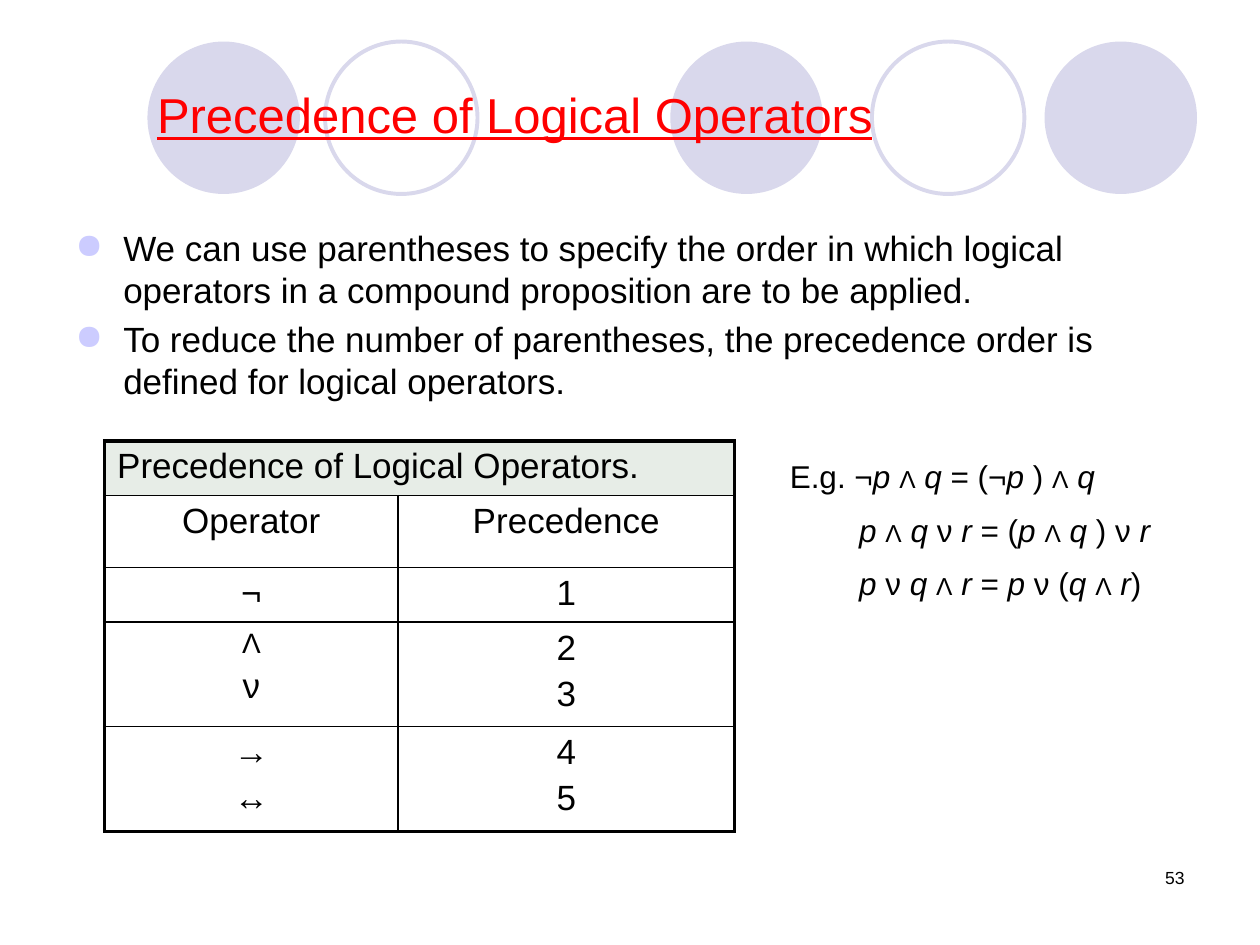
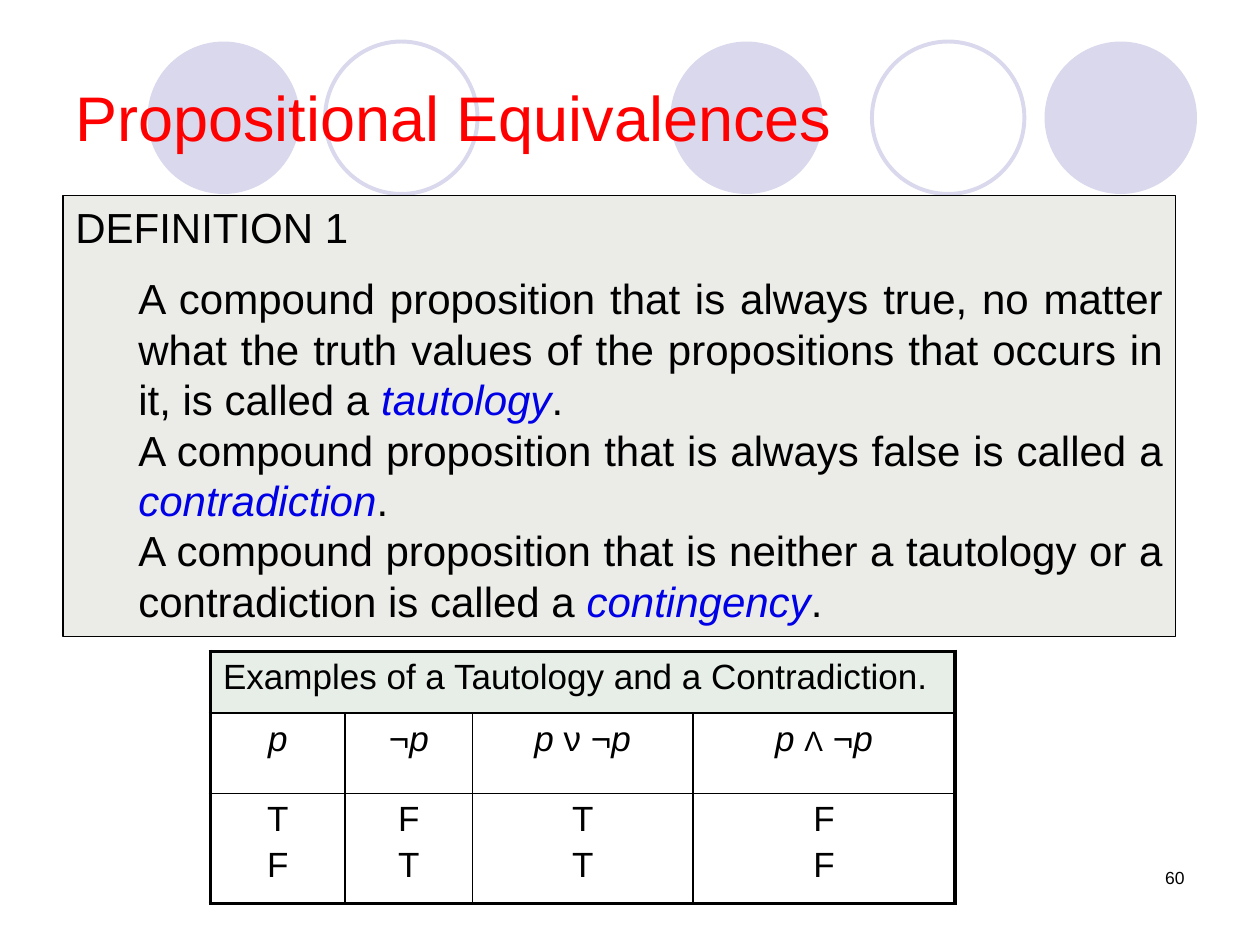
from dataclasses import dataclass

from pptx import Presentation
from pptx.dml.color import RGBColor
from pptx.enum.shapes import MSO_SHAPE as Preset
from pptx.enum.text import MSO_ANCHOR as Anchor, PP_ALIGN as Align
from pptx.oxml.xmlchemy import OxmlElement as make_element
from pptx.util import Inches, Pt


@dataclass(frozen=True)
class Theme:
    font: str = "Arial"
    black: str = "000000"
    heading: str = "FF0000"
    term: str = "0000E6"
    circle: str = "D9D8EC"
    bullet: str = "CCCCFF"
    panel: str = "EBECE8"
    caption: str = "E7EDE7"
    title_size: int = 36
    subtitle_size: int = 28
    definition_size: int = 24
    body_size: int = 20
    example_size: int = 18
    number_size: int = 10
    wedge_drop: int = 4
    thick: float = 2.25
    thin: float = 1
    hairline: float = 0.75


def rgb(value):
    return RGBColor.from_string(value)


def apply(target, **values):
    for name, value in values.items():
        setattr(target, name, value)


def add_color(parent, tag, value):
    holder = make_element(tag)
    color = make_element("a:srgbClr")
    color.set("val", value)
    holder.append(color)
    parent.append(holder)


class Deck:
    CIRCLES = [(1.17, True), (2.58, False), (5.32, True), (6.92, False), (8.29, True)]

    def __init__(self, theme):
        self.theme = theme
        self.presentation = Presentation()
        apply(self.presentation, slide_width=Inches(10), slide_height=Inches(7.5))
        self.slide = None

    def add_slide(self, number):
        theme = self.theme
        self.slide = self.presentation.slides.add_slide(self.presentation.slide_layouts[6])
        for left, solid in self.CIRCLES:
            self.add_shape(Preset.OVAL, (left, 0.33, 1.21, 1.21),
                           fill=theme.circle if solid else None,
                           line=None if solid else theme.circle, width=theme.thick)
        self.add_text((7.17, 6.83, 2.33, 0.5), [number], theme.number_size, align=Align.RIGHT)

    def add_shape(self, preset, box, fill=None, line=None, width=1):
        shape = self.slide.shapes.add_shape(preset, *map(Inches, box))
        shape.shadow.inherit = False
        if fill:
            shape.fill.solid()
            shape.fill.fore_color.rgb = rgb(fill)
        else:
            shape.fill.background()
        if line:
            shape.line.color.rgb = rgb(line)
            shape.line.width = Pt(width)
        else:
            shape.line.fill.background()
        return shape

    def add_runs(self, paragraph, text, size, color=None, accent=None, underline=None):
        color = color or self.theme.black
        for index, part in enumerate(text.split("*")):
            italic = index % 2 == 1
            pieces = part.replace("Λ", "|Λ|").split("|")
            for piece in filter(None, pieces):
                run = paragraph.add_run()
                run.text = piece
                drop = self.theme.wedge_drop if piece == "Λ" else 0
                apply(run.font, name=self.theme.font, size=Pt(size - drop),
                      italic=italic, underline=underline)
                run.font.color.rgb = rgb(accent if italic and accent else color)

    def fill_frame(self, frame, texts, size, align=Align.LEFT, gap=0, **run_format):
        for index, text in enumerate(texts):
            paragraph = frame.add_paragraph() if index else frame.paragraphs[0]
            apply(paragraph, alignment=align, space_before=Pt(gap if index else 0))
            self.add_runs(paragraph, text, size, **run_format)
        return frame.paragraphs

    def indent(self, paragraph, left, hanging=0):
        properties = paragraph._p.get_or_add_pPr()
        properties.set("marL", str(Inches(left)))
        properties.set("indent", str(-Inches(hanging)))
        return properties

    def add_text(self, box, texts, size, anchor=Anchor.TOP, **text_format):
        frame = self.slide.shapes.add_textbox(*map(Inches, box)).text_frame
        apply(frame, word_wrap=True, vertical_anchor=anchor)
        return self.fill_frame(frame, texts, size, **text_format)

    def add_bullets(self, box, texts):
        for paragraph in self.add_text(box, texts, self.theme.body_size, gap=4):
            properties = self.indent(paragraph, 0.38, hanging=0.38)
            add_color(properties, "a:buClr", self.theme.bullet)
            character = make_element("a:buChar")
            character.set("char", "●")
            properties.append(character)

    def add_definition(self, box, heading, statements):
        theme = self.theme
        panel = self.add_shape(Preset.RECTANGLE, box, theme.panel, theme.black, theme.hairline)
        frame = panel.text_frame
        apply(frame, word_wrap=True, vertical_anchor=Anchor.TOP)
        _, *paragraphs = self.fill_frame(frame, [heading, *statements], theme.definition_size,
                                         align=Align.JUSTIFY, accent=theme.term)
        paragraphs[0].space_before = Pt(12)
        for paragraph in paragraphs:
            self.indent(paragraph, 0.5)

    def set_borders(self, cell, outer_edges):
        properties = cell._tc.get_or_add_tcPr()
        for side, outer in zip("LRTB", outer_edges):
            line = make_element(f"a:ln{side}")
            line.set("w", str(Pt(self.theme.thick if outer else self.theme.thin)))
            add_color(line, "a:solidFill", self.theme.black)
            properties.append(line)

    def add_table(self, left, top, widths, heights, caption, rows):
        theme = self.theme
        row_count, column_count = len(heights), len(widths)
        box = (left, top, sum(widths), sum(heights))
        table = self.slide.shapes.add_table(row_count, column_count, *map(Inches, box)).table
        apply(table, first_row=False, horz_banding=False)
        for column, width in zip(table.columns, widths):
            column.width = Inches(width)
        for row, height in zip(table.rows, heights):
            row.height = Inches(height)
        table.cell(0, 0).merge(table.cell(0, column_count - 1))
        for r in range(row_count):
            for c in range(column_count):
                cell = table.cell(r, c)
                self.set_borders(cell, (c == 0 or r == 0, r == 0 or c == column_count - 1,
                                        r == 0, r == row_count - 1))
                if r == 0:
                    cell.fill.solid()
                    cell.fill.fore_color.rgb = rgb(theme.caption)
                else:
                    cell.fill.background()
                    self.fill_frame(cell.text_frame, rows[r - 1][c].split("\n"),
                                    theme.body_size, align=Align.CENTER, gap=4)
        self.fill_frame(table.cell(0, 0).text_frame, [caption], theme.body_size)


def build_precedence(deck):
    theme = deck.theme
    deck.add_slide("53")
    deck.add_bullets((0.5, 1.75, 8.92, 1.6), [
        "We can use parentheses to specify the order in which logical operators "
        "in a compound proposition are to be applied.",
        "To reduce the number of parentheses, the precedence order is defined "
        "for logical operators.",
    ])
    deck.add_table(0.83, 3.5, [2.33, 2.67], [0.43, 0.57, 0.43, 0.83, 0.83],
                   "Precedence of Logical Operators.",
                   [("Operator", "Precedence"), ("¬", "1"), ("Λ\nν", "2\n3"), ("→\n↔", "4\n5")])
    deck.add_text((0.5, 0.62, 7.17, 0.57), ["Precedence of Logical Operators"],
                  theme.subtitle_size, align=Align.CENTER, color=theme.heading, underline=True)
    _, *continued = deck.add_text((6.17, 3.58, 3.67, 1.3), [
        "E.g. ¬*p *Λ *q* = (¬*p* ) Λ *q*",
        "*p *Λ *q *ν *r *= (*p *Λ *q* ) ν *r*",
        "*p *ν *q *Λ *r* = *p *ν (*q *Λ *r*)",
    ], theme.example_size, gap=9)
    for paragraph in continued:
        deck.indent(paragraph, 0.55)


def build_equivalences(deck):
    theme = deck.theme
    deck.add_slide("60")
    deck.add_text((0.5, 0.3, 9, 1.25), ["Propositional Equivalences"], theme.title_size,
                  anchor=Anchor.MIDDLE, color=theme.heading)
    deck.add_table(1.67, 5.17, [1.07, 1.01, 1.75, 2.08], [0.49, 0.64, 0.87],
                   "Examples of a Tautology and a Contradiction.",
                   [("*p*", "¬*p*", "*p *ν ¬*p*", "*p *Λ ¬*p*"),
                    ("T\nF", "F\nT", "T\nT", "F\nF")])
    deck.add_definition((0.5, 1.55, 8.83, 3.5), "DEFINITION 1", [
        "A compound proposition that is always true, no matter what the truth values "
        "of the propositions that occurs in it, is called a *tautology*.",
        "A compound proposition that is always false is called a *contradiction*.",
        "A compound proposition that is neither a tautology or a contradiction "
        "is called a *contingency*.",
    ])


def main():
    deck = Deck(Theme())
    build_precedence(deck)
    build_equivalences(deck)
    deck.presentation.save("out.pptx")


if __name__ == "__main__":
    main()
